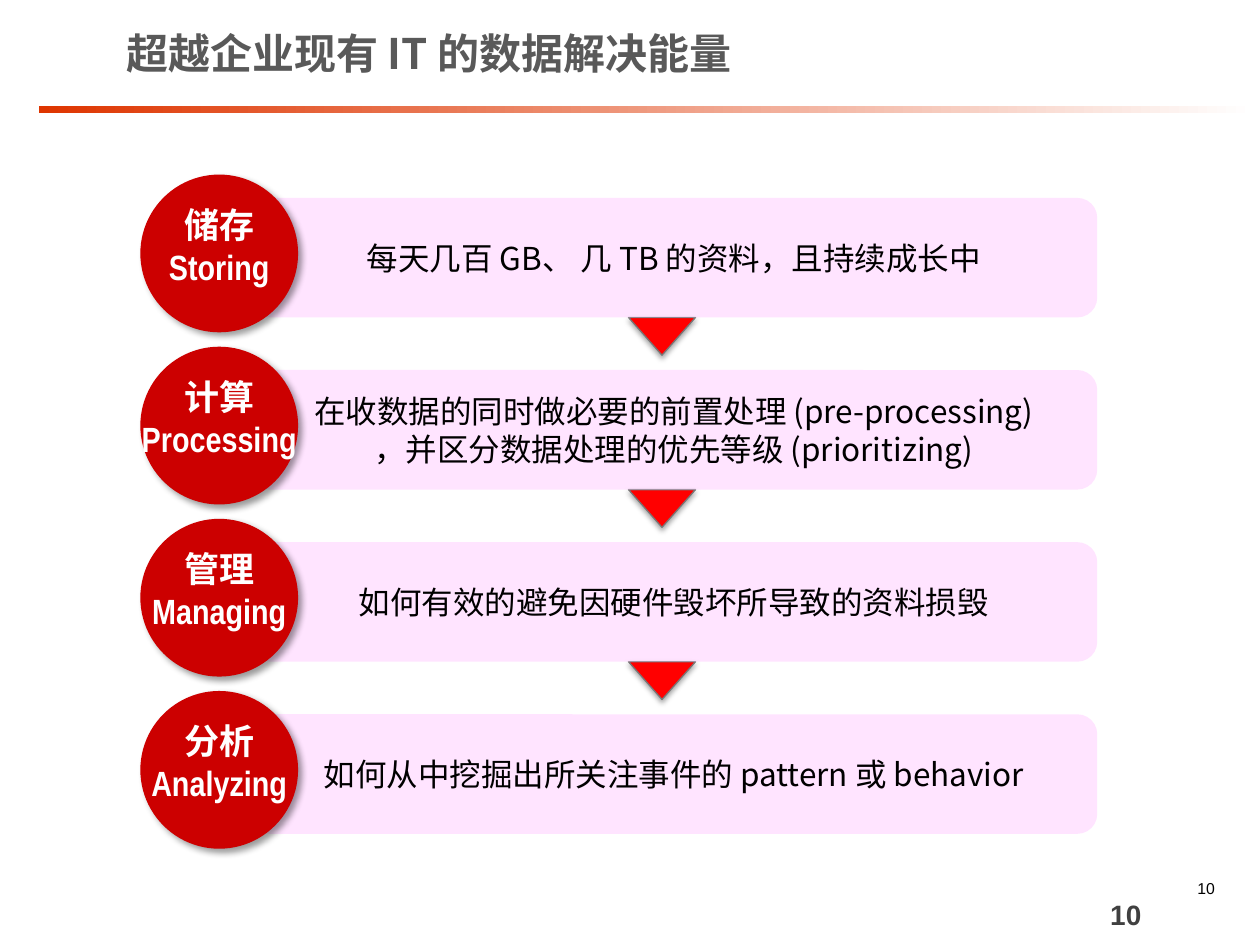
from lxml.etree import SubElement
from pptx import Presentation
from pptx.dml.color import RGBColor
from pptx.enum.shapes import MSO_SHAPE as Preset
from pptx.enum.text import MSO_ANCHOR as Anchor, PP_ALIGN as Align
from pptx.oxml.ns import qn
from pptx.util import Cm, Pt

TITLE_FONT = "Noto Sans CJK SC"
BODY_FONT = "Noto Sans CJK TC"
LABEL_FONT = "Arial Narrow"
NUMBER_FONT = "Arial"


def color(hex_code):
    return RGBColor.from_string(hex_code)


class SlideBuilder:
    """Holds the style and the current slide."""
    circle_shadow = dict(alpha=40, blur=4, dist=3, angle=45)
    arrow_shadow = dict(alpha=35, blur=3.1, dist=1.8, angle=90)

    def __init__(self, slide):
        self.slide = slide

    def set_lines(self, frame, lines, size, font, ink, bold=False,
                  align=Align.CENTER, anchor=Anchor.MIDDLE, asian=None):
        frame.vertical_anchor = anchor
        for i, line in enumerate(lines):
            paragraph = frame.paragraphs[0] if i == 0 else frame.add_paragraph()
            paragraph.text = line
            paragraph.alignment = align
            paragraph.font.size = Pt(size)
            paragraph.font.bold = bold
            paragraph.font.color.rgb = color(ink)
            paragraph.font.name = font
            defaults = paragraph._p.pPr.find(qn("a:defRPr"))
            SubElement(defaults, qn("a:ea"), typeface=asian or font)

    def title(self, text, left, top, width, height):
        title = self.slide.shapes.title
        title.left, title.top = Cm(left), Cm(top)
        title.width, title.height = Cm(width), Cm(height)
        self.set_lines(title.text_frame, [text], 24, TITLE_FONT, "595959",
                       bold=True, align=Align.LEFT)

    def shape(self, preset, left, top, width, height, fill, alpha=None):
        shape = self.slide.shapes.add_shape(
            preset, Cm(left), Cm(top), Cm(width), Cm(height))
        shape.shadow.inherit = False
        shape.line.fill.background()
        shape.fill.solid()
        shape.fill.fore_color.rgb = color(fill)
        if alpha:
            tint = shape._element.spPr.find(".//" + qn("a:srgbClr"))
            SubElement(tint, qn("a:alpha"), val=str(alpha * 1000))
        return shape

    def cast_shadow(self, shape, alpha, blur, dist, angle):
        effects = shape._element.spPr.find(qn("a:effectLst"))
        shadow = SubElement(effects, qn("a:outerShdw"), blurRad=str(Pt(blur)),
                            dist=str(Pt(dist)), dir=str(angle * 60000),
                            algn="ctr", rotWithShape="0")
        black = SubElement(shadow, qn("a:srgbClr"), val="000000")
        SubElement(black, qn("a:alpha"), val=str(alpha * 1000))

    def rule(self, left, top, width, height, start, end):
        rule = self.shape(Preset.RECTANGLE, left, top, width, height, start)
        rule.fill.gradient()
        rule.fill.gradient_angle = 0
        for stop, tone, place in zip(rule.fill.gradient_stops, (start, end), (0, 1)):
            stop.color.rgb = color(tone)
            stop.position = place

    def arrow(self, left, top, width, height):
        arrow = self.shape(Preset.ISOSCELES_TRIANGLE, left, top, width, height, "FF0000")
        arrow.rotation = 180
        arrow.line.color.rgb = color("777777")
        arrow.line.width = Pt(0.75)
        self.cast_shadow(arrow, **self.arrow_shadow)

    def bar(self, lines, left, top, width, height):
        bar = self.shape(Preset.ROUNDED_RECTANGLE, left, top, width, height,
                         "FFCCFF", alpha=52)
        bar.text_frame.word_wrap = True
        self.set_lines(bar.text_frame, lines, 18, BODY_FONT, "000000")

    def circle(self, left, top, size):
        circle = self.shape(Preset.OVAL, left, top, size, size, "CC0000")
        self.cast_shadow(circle, **self.circle_shadow)

    def text(self, lines, left, top, width, height, size, font, ink, **style):
        box = self.slide.shapes.add_textbox(Cm(left), Cm(top), Cm(width), Cm(height))
        box.text_frame.word_wrap = True
        self.set_lines(box.text_frame, lines, size, font, ink, **style)


STAGES = [
    (["储存", "Storing"], ["每天几百 GB、 几 TB 的资料，且持续成长中"]),
    (["计算", "Processing"], ["在收数据的同时做必要的前置处理 (pre-processing)",
                            "，并区分数据处理的优先等级 (prioritizing)"]),
    (["管理", "Managing"], ["如何有效的避免因硬件毁坏所导致的资料损毁"]),
    (["分析", "Analyzing"], ["如何从中挖掘出所关注事件的 pattern 或 behavior"]),
]
FIRST_TOP, STEP = 3.52, 3.47
CIRCLE_LEFT, CIRCLE_SIZE = 2.83, 3.18
BAR_LEFT, BAR_WIDTH, BAR_HEIGHT, BAR_DROP = 5.05, 17.07, 2.41, 0.47
LABEL_WIDTH, LABEL_DROP = 3.8, 0.45


def main():
    deck = Presentation()
    deck.slide_width, deck.slide_height = Cm(25.4), Cm(19.05)
    page = SlideBuilder(deck.slides.add_slide(deck.slide_layouts[5]))

    # Heading and its fading rule
    page.rule(0.79, 2.13, 24.51, 0.16, "DE3500", "FFFFFF")
    page.title("超越企业现有 IT 的数据解决能量", 2.29, 0, 22.23, 2.13)

    # Arrows hang below every bar but the last
    tops = [FIRST_TOP + i * STEP for i in range(len(STAGES))]
    for top in tops[:-1]:
        page.arrow(12.67, top + BAR_DROP + BAR_HEIGHT, 1.35, 0.76)

    # Stages: bar, circle and label
    label_left = CIRCLE_LEFT + (CIRCLE_SIZE - LABEL_WIDTH) / 2
    for top, (label, description) in zip(tops, STAGES):
        page.bar(description, BAR_LEFT, top + BAR_DROP, BAR_WIDTH, BAR_HEIGHT)
        page.circle(CIRCLE_LEFT, top, CIRCLE_SIZE)
        page.text(label, label_left, top + LABEL_DROP, LABEL_WIDTH, 1.96, 20,
                  LABEL_FONT, "FFFFFF", bold=True, anchor=Anchor.TOP, asian=TITLE_FONT)

    # Page numbers
    page.text(["10"], 19.95, 17.96, 5.49, 0.94, 16, NUMBER_FONT, "404040", bold=True)
    page.text(["10"], 19.46, 17.58, 5.28, 1.27, 9, NUMBER_FONT, "000000",
              align=Align.RIGHT, anchor=Anchor.TOP)

    deck.save("out.pptx")


if __name__ == "__main__":
    main()
